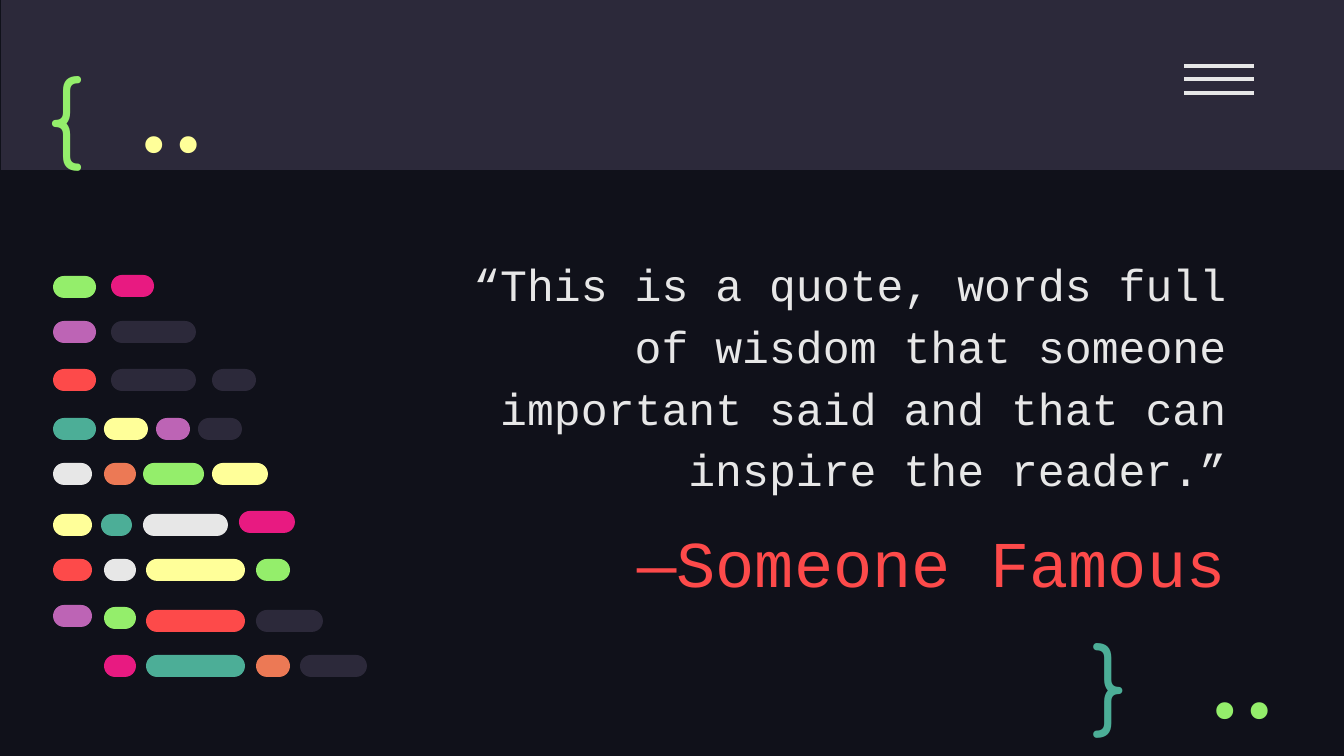
from dataclasses import dataclass
from typing import NamedTuple

from lxml.etree import SubElement
from pptx import Presentation
from pptx.dml.color import RGBColor
from pptx.enum.shapes import MSO_CONNECTOR, MSO_SHAPE
from pptx.enum.text import MSO_ANCHOR as Anchor, PP_ALIGN as Align
from pptx.oxml.ns import qn
from pptx.slide import Slide
from pptx.util import Emu, Pt

EMU_PER_PX = 914400 / 134.4


@dataclass(frozen=True)
class Theme:
    night: str = "10111A"
    slate: str = "2C293A"
    white: str = "E7E7E7"
    red: str = "FD4A4A"
    green: str = "94EE6B"
    pink: str = "E81A81"
    purple: str = "BD64B5"
    teal: str = "4CAE97"
    yellow: str = "FFFF99"
    orange: str = "EC7955"
    body_font: str = "Courier New"
    brace_font: str = "Comfortaa"
    dots_font: str = "Fira Code"
    quote_pt: int = 24
    author_pt: int = 35
    symbol_pt: int = 50
    menu_line_pt: float = 2.25


T = Theme()


class Box(NamedTuple):
    x: int
    y: int
    w: int
    h: int


class Pill(NamedTuple):
    x: int
    w: int
    color: str
    dy: int = 0


class CodeLine(NamedTuple):
    y: int
    pills: tuple[Pill, ...]


class Label(NamedTuple):
    text: str
    box: Box
    font: str
    size: int
    color: str
    align: Align = Align.RIGHT
    anchor: Anchor = Anchor.TOP
    spacing: float = 1.0


SLIDE = Box(0, 0, 1344, 756)
BANNER = Box(1, 0, 1343, 170)
MENU_X, MENU_W, MENU_YS = 1184, 70, (66, 79, 93)
PILL_H = 22
INSET = 13

CODE_LINES = (
    CodeLine(276, (Pill(53, 43, T.green), Pill(111, 43, T.pink, -1))),
    CodeLine(321, (Pill(53, 43, T.purple), Pill(111, 85, T.slate))),
    CodeLine(369, (Pill(53, 43, T.red), Pill(111, 85, T.slate), Pill(212, 44, T.slate))),
    CodeLine(418, (Pill(53, 43, T.teal), Pill(104, 44, T.yellow),
                   Pill(156, 34, T.purple), Pill(198, 44, T.slate))),
    CodeLine(463, (Pill(53, 39, T.white), Pill(104, 32, T.orange),
                   Pill(143, 61, T.green), Pill(212, 56, T.yellow))),
    CodeLine(514, (Pill(53, 39, T.yellow), Pill(101, 31, T.teal),
                   Pill(143, 85, T.white), Pill(239, 56, T.pink, -3))),
    CodeLine(559, (Pill(53, 39, T.red), Pill(104, 32, T.white),
                   Pill(146, 99, T.yellow), Pill(256, 34, T.green))),
    CodeLine(610, (Pill(53, 39, T.purple, -5), Pill(104, 32, T.green, -3),
                   Pill(146, 99, T.red), Pill(256, 67, T.slate))),
    CodeLine(655, (Pill(104, 32, T.pink), Pill(146, 99, T.teal),
                   Pill(256, 34, T.orange), Pill(300, 67, T.slate))),
)

LABELS = (
    Label("“This is a quote, words full of wisdom that someone important said "
          "and that can inspire the reader.”", Box(395, 235, 844, 274),
          T.body_font, T.quote_pt, T.white, anchor=Anchor.BOTTOM, spacing=1.15),
    Label("—Someone Famous", Box(395, 509, 844, 97), T.body_font, T.author_pt, T.red),
    Label("{", Box(34, 43, 103, 128), T.brace_font, T.symbol_pt, T.green, Align.LEFT),
    Label("}", Box(1079, 610, 77, 112), T.brace_font, T.symbol_pt, T.teal, Align.LEFT),
    Label("..", Box(1169, 641, 144, 81), T.dots_font, T.symbol_pt, T.green,
          anchor=Anchor.MIDDLE),
    Label("..", Box(98, 75, 144, 81), T.dots_font, T.symbol_pt, T.yellow,
          anchor=Anchor.MIDDLE),
)


def px(value: int) -> Emu:
    return Emu(round(value * EMU_PER_PX))


def rgb(color: str) -> RGBColor:
    return RGBColor.from_string(color)


def add_block(s: Slide, kind: MSO_SHAPE, box: Box, color: str) -> None:
    """Draw a flat, outline-free shape; rounded ones get full round ends."""
    sp = s.shapes.add_shape(kind, *map(px, box))
    sp.shadow.inherit = False
    sp.fill.solid()
    sp.fill.fore_color.rgb = rgb(color)
    sp.line.fill.background()
    if kind == MSO_SHAPE.ROUNDED_RECTANGLE:
        sp.adjustments[0] = 0.5


def add_menu_line(s: Slide, y: int) -> None:
    line = s.shapes.add_connector(
        MSO_CONNECTOR.STRAIGHT, px(MENU_X), px(y), px(MENU_X + MENU_W), px(y))
    line.line.color.rgb = rgb(T.white)
    line.line.width = Pt(T.menu_line_pt)
    SubElement(line._element.spPr, qn("a:effectLst"))


def add_label(s: Slide, label: Label) -> None:
    tf = s.shapes.add_textbox(*map(px, label.box)).text_frame
    tf.word_wrap = True
    tf.vertical_anchor = label.anchor
    tf.margin_left = tf.margin_right = tf.margin_top = tf.margin_bottom = px(INSET)
    p = tf.paragraphs[0]
    p.alignment = label.align
    p.line_spacing = label.spacing
    r = p.add_run()
    r.text = label.text
    r.font.name = label.font
    r.font.size = Pt(label.size)
    r.font.color.rgb = rgb(label.color)


def main() -> None:
    prs = Presentation()
    prs.slide_width, prs.slide_height = px(SLIDE.w), px(SLIDE.h)
    s = prs.slides.add_slide(prs.slide_layouts[6])
    s.background.fill.solid()
    s.background.fill.fore_color.rgb = rgb(T.night)

    add_block(s, MSO_SHAPE.RECTANGLE, BANNER, T.slate)
    for y in MENU_YS:
        add_menu_line(s, y)
    for line in CODE_LINES:
        for pill in line.pills:
            box = Box(pill.x, line.y + pill.dy, pill.w, PILL_H)
            add_block(s, MSO_SHAPE.ROUNDED_RECTANGLE, box, pill.color)
    for label in LABELS:
        add_label(s, label)
    prs.save("out.pptx")


if __name__ == "__main__":
    main()
